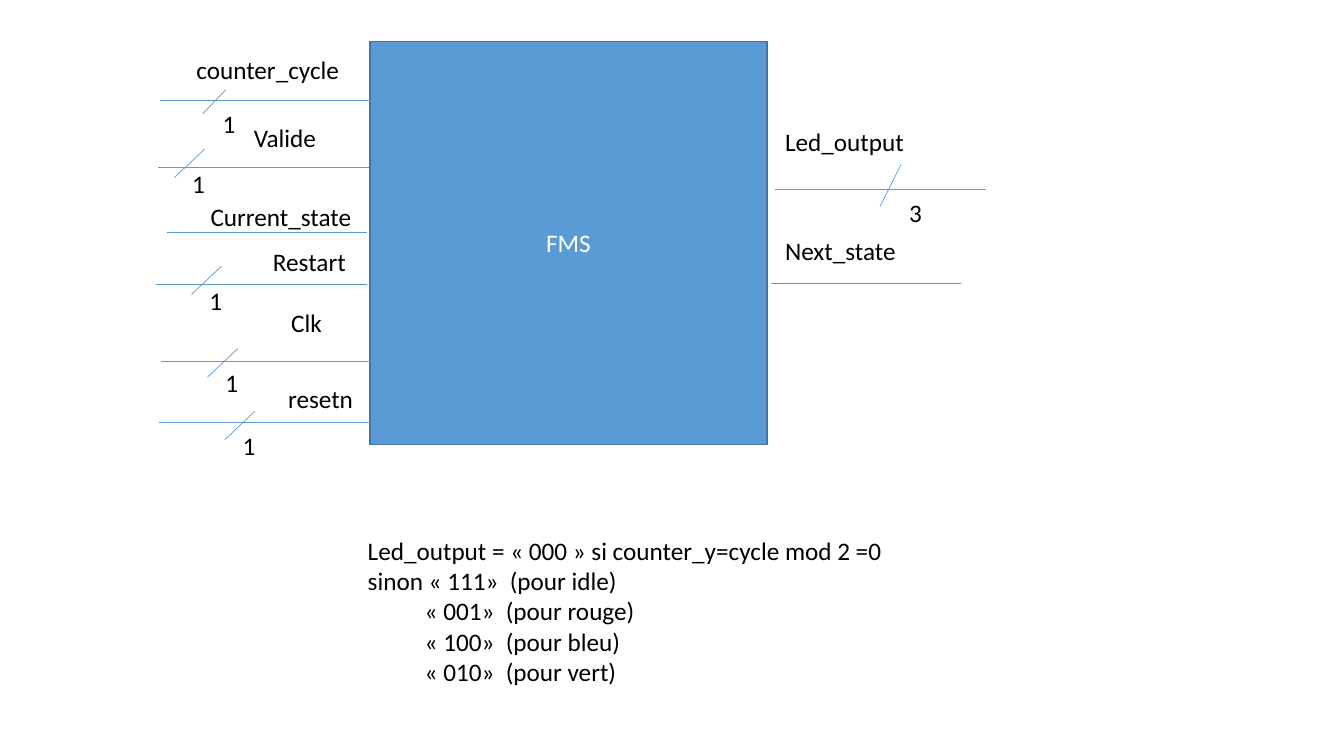
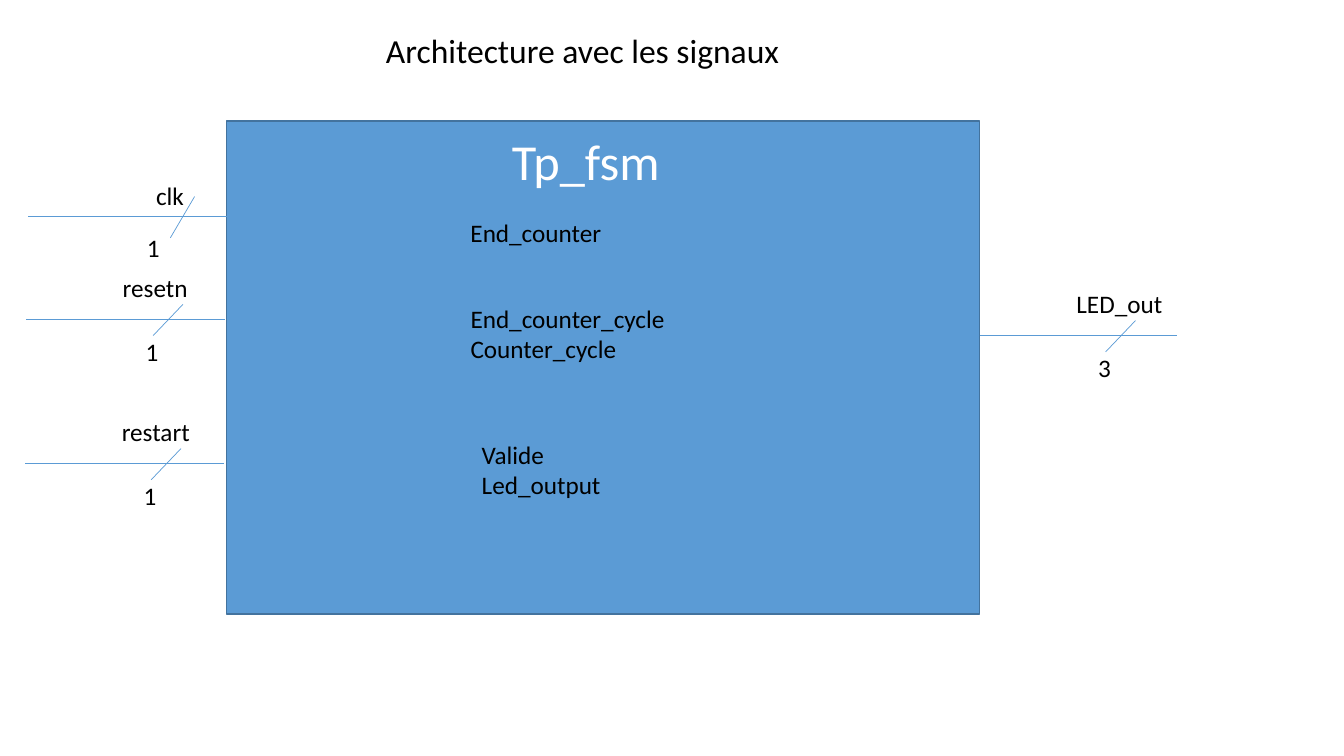
"""Draws the FSM block and its top-level architecture with their signals."""
from dataclasses import dataclass

from lxml.etree import SubElement
from pptx import Presentation
from pptx.dml.color import RGBColor
from pptx.enum.shapes import MSO_CONNECTOR, MSO_SHAPE
from pptx.enum.text import MSO_ANCHOR, PP_ALIGN
from pptx.oxml.ns import qn
from pptx.slide import Slide
from pptx.text.text import TextFrame
from pptx.util import Pt

BLUE = RGBColor(0x5B, 0x9B, 0xD5)
DARK_BLUE = RGBColor(0x43, 0x73, 0x9E)
BLACK = RGBColor(0x00, 0x00, 0x00)
WHITE = RGBColor(0xFF, 0xFF, 0xFF)
FONT = "Calibri"
BODY_SIZE = 18
LINE_HEIGHT = 29
TALL_LABEL = 33
DIGIT_WIDTH = 23.7
CODE_INDENT = 40.7


@dataclass(frozen=True)
class Box:
    left: float
    top: float
    width: float
    height: float = LINE_HEIGHT


@dataclass(frozen=True)
class SlashStyle:
    width: float
    height: float
    digit_dx: float
    digit_dy: float


@dataclass(frozen=True)
class Slash:
    left: float
    top: float
    style: SlashStyle
    bits: str = "1"


@dataclass(frozen=True)
class Signal:
    name: str
    label: Box
    wire_left: float
    wire_y: float
    wire_length: float
    slash: Slash | None = None


@dataclass(frozen=True)
class Note:
    lines: tuple[str, ...]
    box: Box
    size: float = BODY_SIZE
    color: RGBColor = BLACK
    wrap: bool = True


SMALL = SlashStyle(16.6, 17.3, 7.2, 9.4)
MEDIUM = SlashStyle(21.5, 20.2, 5.6, 10)
STEEP = SlashStyle(15.1, 30.2, 13.7, 20.2)
STEEP_LEFT = SlashStyle(17.3, 29.5, -23.8, 22.3)
MEDIUM_LEFT = SlashStyle(21.3, 22.3, -12.4, 19)

FMS_BLOCK = Box(264.2, 29.5, 283.7, 288)
FMS_SIGNALS = (
    Signal("counter_cycle", Box(133.2, 35.3, 125.3, TALL_LABEL), 114.5, 72, 151.2,
           Slash(144.7, 64.1, SMALL)),
    Signal("Valide", Box(174.2, 84.2, 63.4, TALL_LABEL), 113, 119.5, 150.5,
           Slash(124.6, 106.6, MEDIUM)),
    Signal("Current_state", Box(143.3, 140.4, 115.9), 119.5, 166.3, 142.6),
    Signal("Restart", Box(187.9, 172.1, 71.3, TALL_LABEL), 111.6, 203, 150.5,
           Slash(136.8, 190.1, MEDIUM)),
    Signal("Clk", Box(200.9, 216, 38.9, TALL_LABEL), 115.2, 257.8, 150.5,
           Slash(148.3, 249.1, MEDIUM)),
    Signal("resetn", Box(198.7, 270, 65.5, TALL_LABEL), 113.8, 301.7, 150.5,
           Slash(160.6, 293.8, MEDIUM)),
    Signal("Led_output", Box(553.7, 86.4, 106.6, TALL_LABEL), 553.7, 135.4, 150.5,
           Slash(628.6, 117.4, STEEP, "3")),
    Signal("Next_state", Box(553.7, 164.2, 94.3), 550.8, 202.3, 135.4),
)
LED_CODES = Note(
    ("Led_output = « 000 » si counter_y=cycle mod 2 =0",
     "sinon « 111»  (pour idle)",
     "« 001»  (pour rouge)",
     "« 100»  (pour bleu)",
     "« 010»  (pour vert)"),
    Box(255.6, 378.7, 385.9, 138.2), wrap=False)

TP_FSM_BLOCK = Box(162, 86.4, 537.8, 352.1)
TP_FSM_SIGNALS = (
    Signal("clk", Box(104.4, 125.3, 34.6), 20.2, 154.8, 141.8,
           Slash(121.7, 140.4, STEEP_LEFT)),
    Signal("resetn", Box(80.6, 190.8, 61.2), 18.7, 228.2, 141.8,
           Slash(109.4, 217.4, MEDIUM_LEFT)),
    Signal("restart", Box(79.9, 293.8, 63.4), 18, 331.2, 141.8,
           Slash(108, 320.4, MEDIUM_LEFT)),
    Signal("LED_out", Box(761.8, 202.3, 76.3), 699.8, 239.8, 141.1,
           Slash(789.8, 229, MEDIUM_LEFT, "3")),
)
TP_FSM_NOTES = (
    Note(("Tp_fsm",), Box(358.6, 89.3, 159.8, 51.1), 36, WHITE),
    Note(("End_counter",), Box(329, 151.9, 122.4, 51.1)),
    Note(("End_counter_cycle", "Counter_cycle"), Box(329, 213.1, 164.2, 94.3)),
    Note(("Valide", "Led_output"), Box(337, 310.3, 109.4, 51.1)),
    Note(("Architecture avec les signaux",), Box(268.6, 18, 303.8, 36), 24, wrap=False),
)


def write_lines(frame: TextFrame, lines: tuple[str, ...], size: float,
                color: RGBColor, align: PP_ALIGN = PP_ALIGN.LEFT) -> None:
    for index, line in enumerate(lines):
        paragraph = frame.add_paragraph() if index else frame.paragraphs[0]
        paragraph.text = line
        paragraph.alignment = align
        paragraph.font.name = FONT
        paragraph.font.size = Pt(size)
        paragraph.font.color.rgb = color


def add_note(slide: Slide, note: Note) -> TextFrame:
    box = note.box
    frame = slide.shapes.add_textbox(
        Pt(box.left), Pt(box.top), Pt(box.width), Pt(box.height)).text_frame
    frame.word_wrap = note.wrap
    write_lines(frame, note.lines, note.size, note.color)
    return frame


def add_line(slide: Slide, x1: float, y1: float, x2: float, y2: float) -> None:
    line = slide.shapes.add_connector(
        MSO_CONNECTOR.STRAIGHT, Pt(x1), Pt(y1), Pt(x2), Pt(y2))
    line.line.color.rgb = BLUE
    line.line.width = Pt(0.5)
    SubElement(line._element.spPr, qn("a:effectLst"))


def add_block(slide: Slide, box: Box, caption: str = "") -> None:
    block = slide.shapes.add_shape(
        MSO_SHAPE.RECTANGLE, Pt(box.left), Pt(box.top), Pt(box.width), Pt(box.height))
    block.shadow.inherit = False
    block.fill.solid()
    block.fill.fore_color.rgb = BLUE
    block.line.color.rgb = DARK_BLUE
    block.line.width = Pt(1)
    if caption:
        block.text_frame.vertical_anchor = MSO_ANCHOR.MIDDLE
        write_lines(block.text_frame, (caption,), BODY_SIZE, WHITE, PP_ALIGN.CENTER)


def add_signal(slide: Slide, signal: Signal) -> None:
    add_line(slide, signal.wire_left, signal.wire_y,
             signal.wire_left + signal.wire_length, signal.wire_y)
    add_note(slide, Note((signal.name,), signal.label, wrap=False))
    slash = signal.slash
    if slash:
        style = slash.style
        add_line(slide, slash.left + style.width, slash.top,
                 slash.left, slash.top + style.height)
        digit = Box(slash.left + style.digit_dx, slash.top + style.digit_dy, DIGIT_WIDTH)
        add_note(slide, Note((slash.bits,), digit, wrap=False))


def add_diagram(slide: Slide, block: Box, signals: tuple[Signal, ...],
                caption: str = "") -> None:
    add_block(slide, block, caption)
    for signal in signals:
        add_signal(slide, signal)


def main() -> None:
    deck = Presentation()
    deck.slide_width, deck.slide_height = Pt(960), Pt(540)
    blank = deck.slide_layouts[6]

    fms = deck.slides.add_slide(blank)
    add_diagram(fms, FMS_BLOCK, FMS_SIGNALS, "FMS")
    codes = add_note(fms, LED_CODES)
    for paragraph in codes.paragraphs[2:]:
        paragraph._p.get_or_add_pPr().set("marL", str(Pt(CODE_INDENT)))

    architecture = deck.slides.add_slide(blank)
    add_diagram(architecture, TP_FSM_BLOCK, TP_FSM_SIGNALS)
    for note in TP_FSM_NOTES:
        add_note(architecture, note)

    deck.save("out.pptx")


if __name__ == "__main__":
    main()
